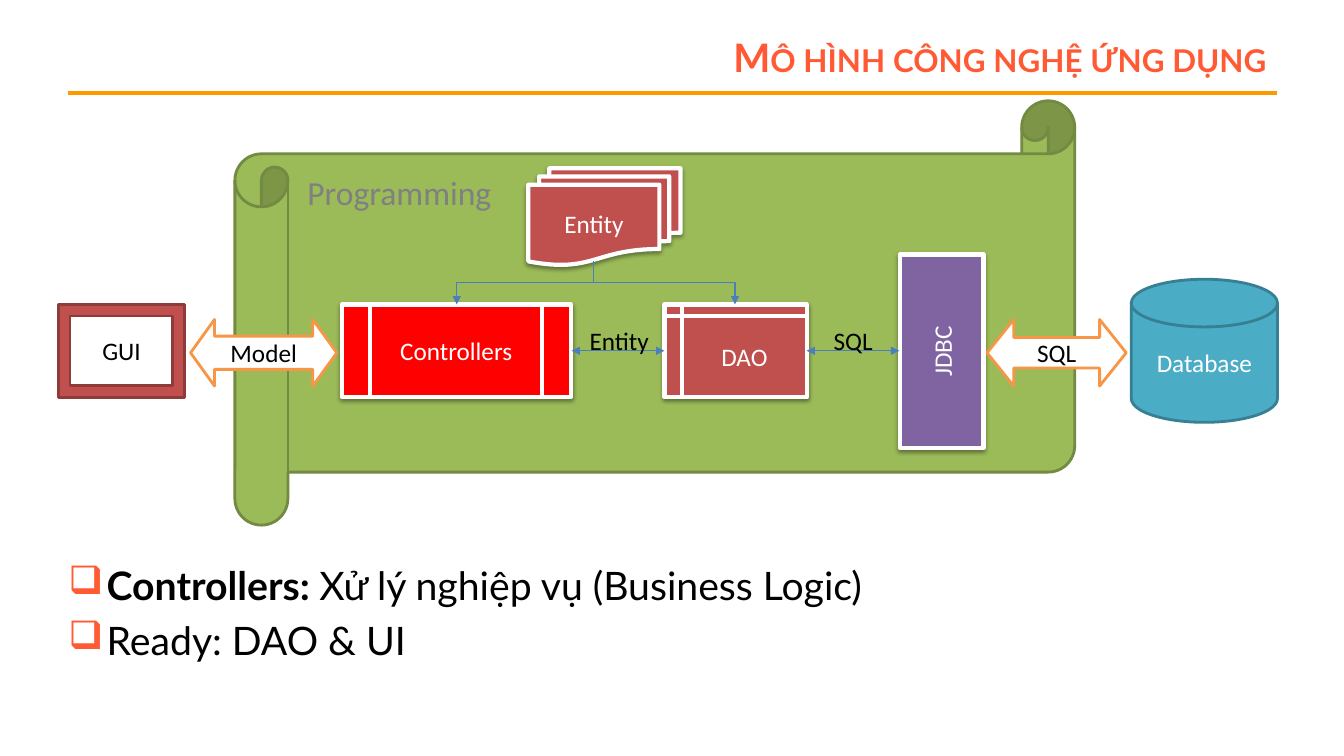
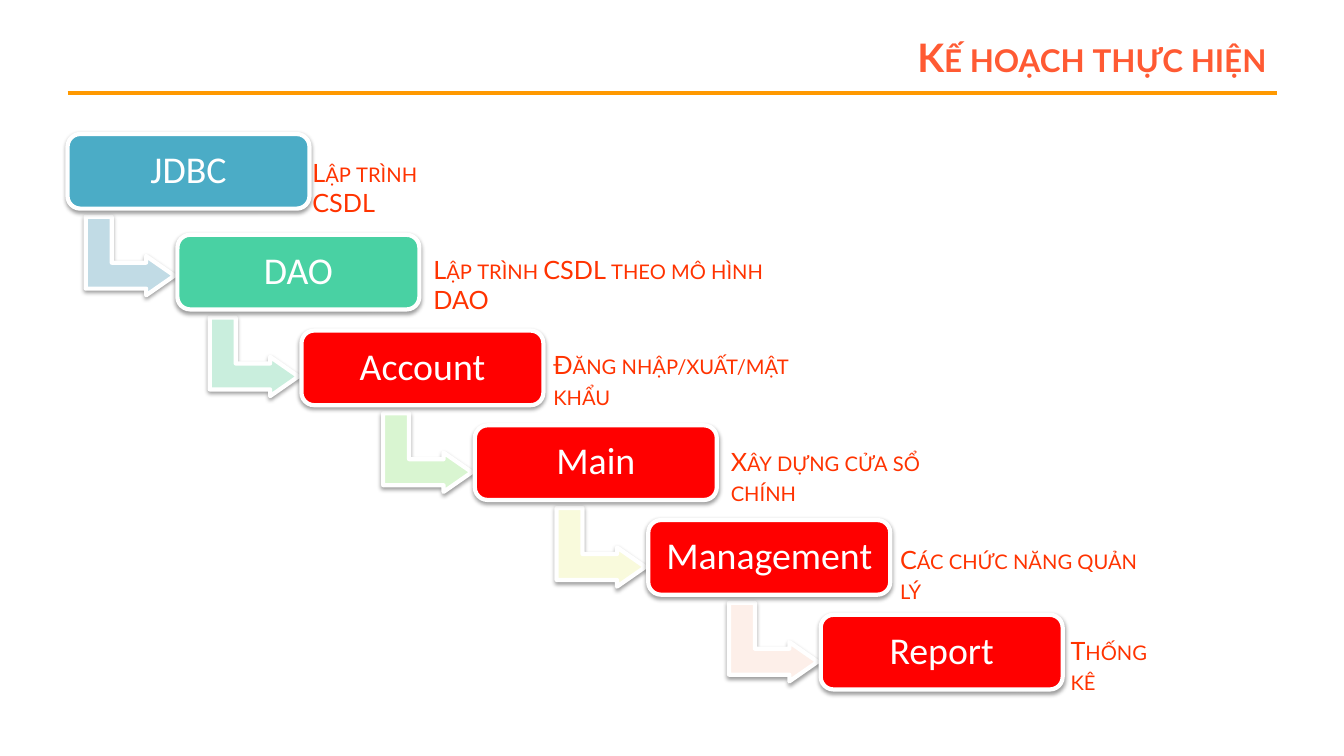
from lxml.etree import SubElement
from pptx import Presentation
from pptx.dml.color import RGBColor
from pptx.enum.shapes import MSO_CONNECTOR as LINK, MSO_SHAPE as FORM
from pptx.enum.text import MSO_ANCHOR, MSO_AUTO_SIZE, PP_ALIGN
from pptx.oxml.ns import qn
from pptx.util import Inches, Pt

WHITE, BLACK, GRAY = "FFFFFF", "000000", "808080"
CORAL, AMBER, FLAME = "FF5A33", "FF9900", "FF3300"
RED, BRICK, TEAL, BLUE = "FF0000", "C0504D", "4BACC6", "4B7EBC"
ORANGE = "F79646"
HEAD, BODY = "Lato", "Calibri"


def tint(code):
    return RGBColor.from_string(code)


def write(para, text, size, font, color, bold=False, small=False):
    run = para.add_run()
    run.text = text
    run.font.size = Pt(size)
    run.font.name = font
    run.font.bold = bold
    run.font.color.rgb = tint(color)
    if small:
        run._r.get_or_add_rPr().set("cap", "small")


def text_box(slide, x, y, wide, high, wrap=True):
    box = slide.shapes.add_textbox(*map(Inches, (x, y, wide, high)))
    frame = box.text_frame
    frame.word_wrap = wrap
    if not wrap:
        frame.auto_size = MSO_AUTO_SIZE.SHAPE_TO_FIT_TEXT
    return frame


def label(slide, text, x, y, wide, high=0.4, size=18, font=BODY, color=BLACK, small=False):
    frame = text_box(slide, x, y, wide, high, wrap=False)
    write(frame.paragraphs[0], text, size, font, color, small=small)


def cast(shape):
    effects = shape._element.spPr.find(qn("a:effectLst"))
    shade = SubElement(effects, qn("a:outerShdw"), blurRad=str(Pt(3.1)),
                       dist=str(Pt(1.6)), dir="5400000", rotWithShape="0")
    color = SubElement(shade, qn("a:srgbClr"), val=BLACK)
    SubElement(color, qn("a:alpha"), val="38000")


def block(slide, form, place, fill, text="", ink=WHITE, size=18, edge=None, adjust=(), turn=0):
    shape = slide.shapes.add_shape(form, *map(Inches, place))
    shape.rotation = turn
    for i, value in enumerate(adjust):
        shape.adjustments[i] = value
    shape.fill.solid()
    shape.fill.fore_color.rgb = tint(fill)
    shape.line.color.rgb = tint(edge or WHITE)
    shape.line.width = Pt(2 if edge else 3)
    shape.shadow.inherit = False
    if not edge:
        cast(shape)
    if text:
        frame = shape.text_frame
        frame.word_wrap = True
        frame.vertical_anchor = MSO_ANCHOR.MIDDLE
        frame.paragraphs[0].alignment = PP_ALIGN.CENTER
        write(frame.paragraphs[0], text, size, BODY, ink)
    return shape


def link(slide, start, end, color=BLUE, width=0.75, ends=(), kind=LINK.STRAIGHT):
    line = slide.shapes.add_connector(kind, *map(Inches, (*start, *end)))
    line.line.color.rgb = tint(color)
    line.line.width = Pt(width)
    props = line._element.spPr
    for end_tag in ends:
        SubElement(props.find(qn("a:ln")), qn(end_tag), type="triangle")
    SubElement(props, qn("a:effectLst"))
    return line


def elbow(slide, start, end):
    (x1, y1), (x2, y2) = start, end
    mid_x, mid_y = (x1 + x2) / 2, (y1 + y2) / 2
    half_w, half_h = (y2 - y1) / 2, abs(x2 - x1) / 2
    side = 1 if x2 > x1 else -1
    line = link(slide, (mid_x + side * half_w, mid_y - half_h),
                (mid_x - side * half_w, mid_y + half_h),
                ends=["a:tailEnd"], kind=LINK.ELBOW)
    turn = 270 if side > 0 else 90
    line._element.spPr.find(qn("a:xfrm")).set("rot", str(turn * 60000))


def bullet(para, first):
    para.space_before = Pt(0 if first else 5.6)
    props = para._p.get_or_add_pPr()
    props.set("marL", str(Inches(0.38)))
    props.set("indent", str(Inches(-0.38)))
    color = SubElement(props, qn("a:buClr"))
    SubElement(color, qn("a:srgbClr"), val=CORAL)
    SubElement(props, qn("a:buChar"), char="❑")


def points(slide, items):
    frame = text_box(slide, 0.58, 5.52, 12.08, 1.64)
    for i, runs in enumerate(items):
        para = frame.add_paragraph() if i else frame.paragraphs[0]
        bullet(para, i == 0)
        for text, bold in runs:
            write(para, text, 28, HEAD, BLACK, bold)


def new_slide(deck, title):
    slide = deck.slides.add_slide(deck.slide_layouts[6])
    link(slide, (0.67, 0.92), (12.67, 0.92), AMBER, 3)
    frame = text_box(slide, 2.44, 0.3, 10.22, 0.53)
    frame.vertical_anchor = MSO_ANCHOR.MIDDLE
    frame.paragraphs[0].alignment = PP_ALIGN.RIGHT
    write(frame.paragraphs[0], title, 28, HEAD, CORAL, True, True)
    return slide


def model(deck):
    slide = new_slide(deck, "Mô hình công nghệ ứng dụng")
    block(slide, FORM.HORIZONTAL_SCROLL, (2.33, 1, 8.33, 4.21), "9BBB59", edge="738A42")
    points(slide, [
        [("Controllers: ", True), ("Xử lý nghiệp vụ (Business Logic)", False)],
        [("Ready: DAO & UI", False)],
    ])
    top, high = 3.02, 0.92
    mid = top + high / 2
    block(slide, FORM.FLOWCHART_MAGNETIC_DISK, (11.22, 2.77, 1.45, 1.42), TEAL,
          "Database", edge="377F92")
    block(slide, FORM.FRAME, (0.58, top, 1.25, high), BRICK, "GUI", BLACK, edge="8E3B39")
    block(slide, FORM.RECTANGLE, (8.38, 3.07, 1.92, 0.83), "8064A2", "JDBC", turn=270)
    block(slide, FORM.FLOWCHART_MULTIDOCUMENT, (5.24, 1.67, 1.51, 0.96), BRICK, "Entity")
    block(slide, FORM.FLOWCHART_PREDEFINED_PROCESS, (3.39, top, 2.27, high), RED, "Controllers")
    block(slide, FORM.FLOWCHART_INTERNAL_STORAGE, (6.59, top, 1.41, high), BRICK, "DAO")
    for x in (5.67, 8):
        link(slide, (x, mid), (x + 0.92, mid), ends=["a:headEnd", "a:tailEnd"])
    for x in (4.53, 7.29):
        elbow(slide, (5.89, 2.59), (x, top))
    label(slide, "SQL", 8.17, 3.18, 0.59)
    label(slide, "Entity", 5.75, 3.18, 0.8)
    for text, x, wide, adjust in (("Model", 1.89, 1.45, (0.5, 0.36)),
                                  ("SQL", 9.79, 1.38, (0.46, 0.4))):
        block(slide, FORM.LEFT_RIGHT_ARROW, (x, 3.17, wide, 0.66), WHITE,
              text, BLACK, edge=ORANGE, adjust=adjust)
    label(slide, "Programming", 2.95, 1.66, 2.04, 0.5, 24, color=GRAY)


def step(slide, text, x, y, fill):
    shape = block(slide, FORM.ROUNDED_RECTANGLE, (x, y, 2.4, 0.74), fill, text,
                  size=27, adjust=[0.17])
    frame = shape.text_frame
    frame.margin_left = frame.margin_right = Inches(0.11)
    frame.margin_top = frame.margin_bottom = Inches(0.11)
    frame.paragraphs[0].line_spacing = 0.9


def plan(deck):
    slide = new_slide(deck, "Kế hoạch thực hiện")
    steps = [
        ("JDBC", 0.67, 1.33, TEAL),
        ("DAO", 1.76, 2.33, "49D1A3"),
        ("Account", 2.99, 3.28, RED),
        ("Main", 4.71, 4.22, RED),
        ("Management", 6.43, 5.16, RED),
        ("Report", 8.14, 6.1, RED),
    ]
    fills = ["C1DBE5", "C9EEDD", "D9F5D1", "F9FADC", "FDEFE9"]
    for fill, here, after in zip(fills, steps, steps[1:]):
        block(slide, FORM.BENT_UP_ARROW, (after[1] - 0.86, here[2] + 0.77, 0.78, 0.88),
              fill, adjust=(0.33, 0.25, 0.36), turn=90)
    for item in steps:
        step(slide, *item)
    notes = [
        ("Lập trình CSDL", 3, 1.51, 1.86),
        ("Lập trình CSDL theo mô hình DAO", 4.2, 2.47, 3.99),
        ("Đăng nhập/xuất/mật khẩu", 5.39, 3.42, 3.11),
        ("Xây dựng cửa sổ chính", 7.15, 4.38, 2.7),
        ("Các chức năng quản lý", 8.83, 5.35, 2.76),
        ("Thống kê", 10.52, 6.25, 1.21),
    ]
    for note in notes:
        label(slide, *note, font=HEAD, color=FLAME, small=True)


def main():
    deck = Presentation()
    deck.slide_width, deck.slide_height = Inches(13.33), Inches(7.5)
    model(deck)
    plan(deck)
    deck.save("out.pptx")


if __name__ == "__main__":
    main()
